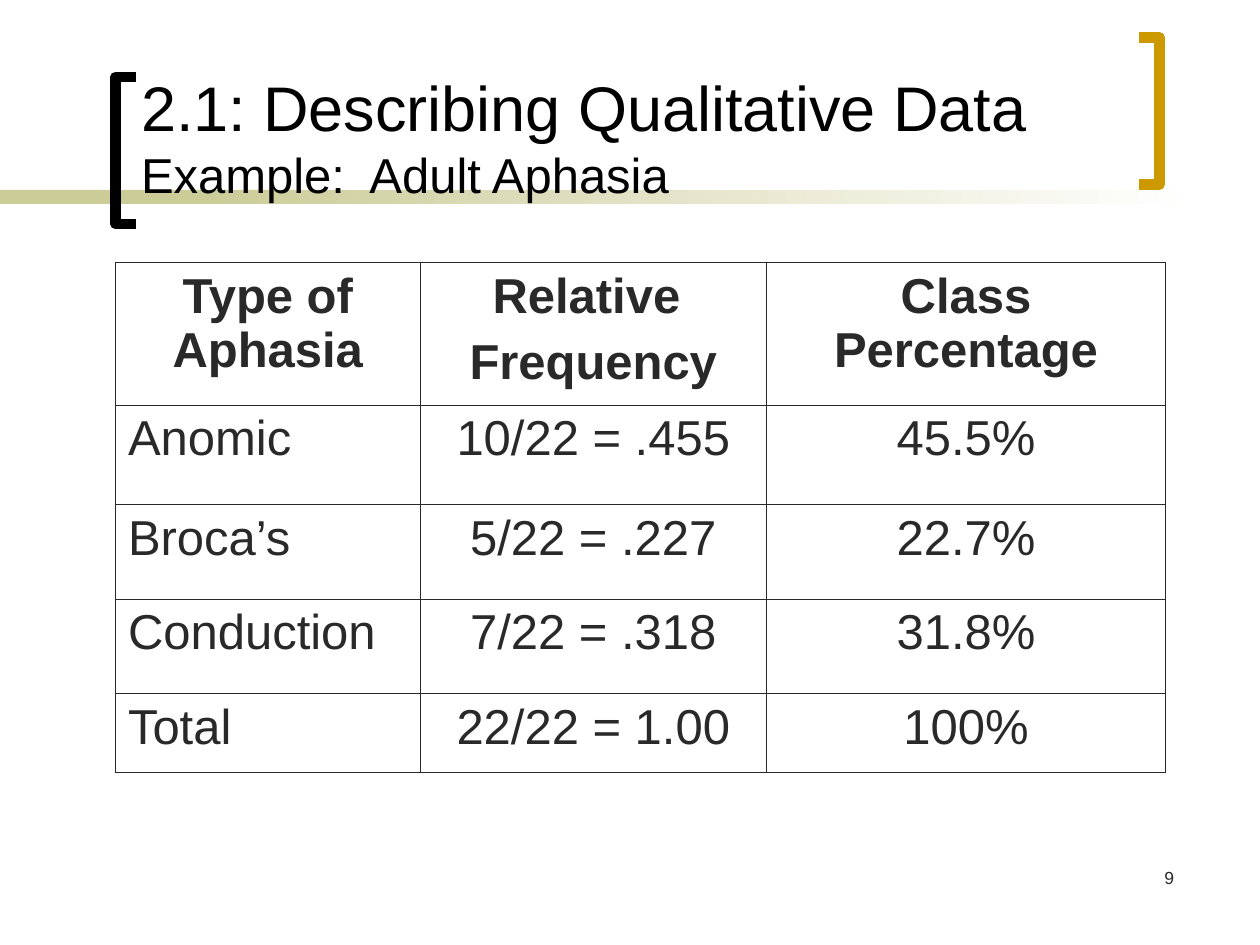
from lxml.etree import SubElement
from pptx import Presentation
from pptx.dml.color import RGBColor
from pptx.enum.shapes import MSO_SHAPE as SHAPE
from pptx.enum.text import MSO_ANCHOR as ANCHOR, PP_ALIGN as ALIGN
from pptx.oxml.ns import qn
from pptx.util import Pt

BLACK = RGBColor(0x00, 0x00, 0x00)
WHITE = RGBColor(0xFF, 0xFF, 0xFF)
INK = RGBColor(0x29, 0x29, 0x29)
SAGE = RGBColor(0xCC, 0xCC, 0x99)
GOLD = RGBColor(0xCC, 0x99, 0x00)

COLS = (174, 198, 228)
ROWS = (81, 57, 54, 54, 45)
APHASIA = (
    ("Type of Aphasia", "Relative \nFrequency", "Class Percentage"),
    ("Anomic", "10/22 = .455", "45.5%"),
    ("Broca’s", "5/22 = .227", "22.7%"),
    ("Conduction", "7/22 = .318", "31.8%"),
    ("Total", "22/22 = 1.00", "100%"),
)


class Deck:
    font = "Arial"
    outer, inner = 1.08, 0.45

    def __init__(self, width, height):
        self.prs = Presentation()
        self.prs.slide_width, self.prs.slide_height = Pt(width), Pt(height)
        self.s = self.prs.slides.add_slide(self.prs.slide_layouts[6])

    def run(self, p, text, size, color, bold=False):
        r = p.add_run()
        r.text = text
        look = {"name": self.font, "size": Pt(size), "bold": bold}
        for key, value in look.items():
            setattr(r.font, key, value)
        r.font.color.rgb = color

    def band(self, x, y, w, h, start, end=None):
        """Draw a borderless bar, fading from start to end if end is given."""
        sp = self.s.shapes.add_shape(SHAPE.RECTANGLE, Pt(x), Pt(y), Pt(w), Pt(h))
        sp.shadow.inherit = False
        sp.line.fill.background()
        if end is None:
            sp.fill.solid()
            sp.fill.fore_color.rgb = start
            return
        sp.fill.gradient()
        sp.fill.gradient_angle = 0
        for stop, color in zip(sp.fill.gradient_stops, (start, end)):
            stop.color.rgb = color

    def bracket(self, tip, back, top, bottom, color):
        """Draw a square bracket whose arms run from back to tip."""
        builder = self.s.shapes.build_freeform(Pt(tip), Pt(top))
        corners = ((back, top), (back, bottom), (tip, bottom))
        builder.add_line_segments([(Pt(x), Pt(y)) for x, y in corners], close=False)
        sp = builder.convert_to_shape()
        sp.shadow.inherit = False
        sp.fill.background()
        sp.line.color.rgb = color
        sp.line.width = Pt(6)

    def text(self, x, y, w, h, lines, color, align=ALIGN.LEFT, anchor=ANCHOR.TOP):
        """Write (text, size) lines as one paragraph with line breaks."""
        tf = self.s.shapes.add_textbox(Pt(x), Pt(y), Pt(w), Pt(h)).text_frame
        tf.word_wrap = True
        tf.vertical_anchor = anchor
        p = tf.paragraphs[0]
        p.alignment = align
        for i, (line, size) in enumerate(lines):
            if i:
                p.add_line_break()
            self.run(p, line, size, color)

    def borders(self, cell, widths):
        tcPr = cell._tc.get_or_add_tcPr()
        for side, width in zip(("lnL", "lnR", "lnT", "lnB"), widths):
            ln = SubElement(tcPr, qn(f"a:{side}"), w=str(Pt(width)))
            fill = SubElement(ln, qn("a:solidFill"))
            SubElement(fill, qn("a:srgbClr"), val=str(INK))

    def table(self, x, y, cols, rows, data, size):
        frame = self.s.shapes.add_table(len(rows), len(cols), Pt(x), Pt(y),
                                        Pt(sum(cols)), Pt(sum(rows)))
        table = frame.table
        table.first_row = table.horz_banding = False
        for col, width in zip(table.columns, cols):
            col.width = Pt(width)
        for row, height in zip(table.rows, rows):
            row.height = Pt(height)
        for i, values in enumerate(data):
            for j, value in enumerate(values):
                cell = table.cell(i, j)
                edges = (j == 0, j == len(cols) - 1, i == 0, i == len(rows) - 1)
                self.borders(cell, [self.outer if e else self.inner for e in edges])
                cell.fill.background()
                centred = i == 0 or j > 0
                for k, line in enumerate(value.split("\n")):
                    tf = cell.text_frame
                    p = tf.add_paragraph() if k else tf.paragraphs[0]
                    p.alignment = ALIGN.CENTER if centred else ALIGN.LEFT
                    if k:
                        p.space_before = Pt(7)
                    self.run(p, line, size, INK, bold=i == 0)


def main():
    deck = Deck(720, 540)
    deck.band(0, 108.5, 168, 8, SAGE)
    deck.band(114, 108.5, 570, 8, SAGE, WHITE)
    deck.bracket(78, 66, 44, 128, BLACK)
    deck.bracket(651, 662.5, 21.5, 105.5, GOLD)
    deck.text(528, 492, 150, 36, [("9", 10)], INK, align=ALIGN.RIGHT)
    title = [("2.1: Describing Qualitative Data", 36), ("Example:  Adult Aphasia", 28)]
    deck.text(73.5, 8, 564, 111.5, title, BLACK, anchor=ANCHOR.BOTTOM)
    deck.table(66, 150, COLS, ROWS, APHASIA, 28)
    deck.prs.save("out.pptx")


if __name__ == "__main__":
    main()
